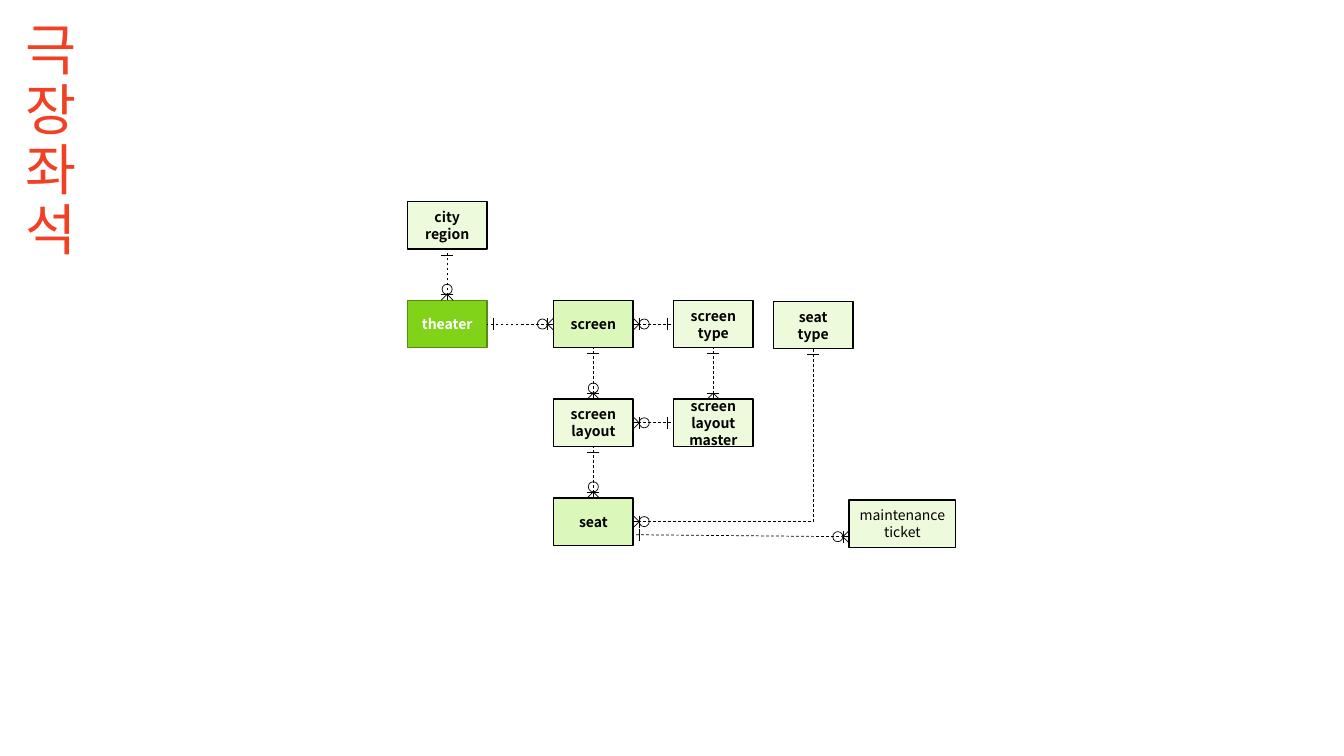
from dataclasses import dataclass
from lxml.etree import SubElement
from pptx import Presentation
from pptx.dml.color import RGBColor
from pptx.enum.dml import MSO_LINE
from pptx.enum.shapes import MSO_CONNECTOR, MSO_SHAPE
from pptx.enum.text import MSO_ANCHOR, PP_ALIGN
from pptx.oxml.ns import qn
from pptx.util import Inches, Pt


@dataclass(frozen=True)
class Theme:
    font: str = "Noto Sans CJK KR"
    title_color: str = "F14124"
    ink: str = "000000"
    white: str = "FFFFFF"
    pale: str = "EDFBDC"
    light: str = "DCF7BA"
    strong: str = "81D31A"
    strong_edge: str = "568D11"
    title_size: float = 39.6
    label_size: float = 10
    border: float = 1
    thin: float = 0.5


THEME = Theme()
TITLE = "극장좌석"
TOP, RIGHT, BOTTOM, LEFT = "top", "right", "bottom", "left"
SITES = {TOP: 0, LEFT: 1, BOTTOM: 2, RIGHT: 3}
OUTWARD = {TOP: (0, -1), LEFT: (-1, 0), BOTTOM: (0, 1), RIGHT: (1, 0)}

COLUMNS = (4.04, 5.49, 6.68, 7.67, 8.42)
FIRST_ROW, ROW_PITCH = 2.0, 0.98
WIDTH, WIDE, HEIGHT = 0.79, 1.06, 0.47
MARK, RADIUS, SHIFT = 0.06, 0.05, 0.13

ENTITIES = {
    "city": (0, 0, ("city", "region"), THEME.pale),
    "theater": (0, 1, ("theater",), THEME.strong),
    "screen": (1, 1, ("screen",), THEME.light),
    "screen type": (2, 1, ("screen", "type"), THEME.pale),
    "seat type": (3, 1.01, ("seat", "type"), THEME.pale),
    "layout": (1, 2, ("screen", "layout"), THEME.pale),
    "master": (2, 2, ("screen", "layout", "master"), THEME.pale),
    "seat": (1, 3, ("seat",), THEME.light),
    "ticket": (4, 3.02, ("maintenance", "ticket"), THEME.pale),
}
RELATIONS = (
    ("theater", TOP, "city", BOTTOM, True, 0),
    ("screen", LEFT, "theater", RIGHT, True, 0),
    ("screen", RIGHT, "screen type", LEFT, True, 0),
    ("layout", TOP, "screen", BOTTOM, True, 0),
    ("layout", RIGHT, "master", LEFT, True, 0),
    ("master", TOP, "screen type", BOTTOM, False, 0),
    ("seat", TOP, "layout", BOTTOM, True, 0),
    ("seat", RIGHT, "seat type", BOTTOM, True, 0),
    ("ticket", LEFT, "seat", RIGHT, True, SHIFT),
)


def color(value):
    return RGBColor.from_string(value)


def add_text(para, text, size, ink, bold=False):
    span = para.add_run()
    span.text = text
    span.font.name = THEME.font
    span.font.size = Pt(size)
    span.font.bold = bold
    span.font.color.rgb = color(ink)
    SubElement(span.font._element, qn("a:ea")).set("typeface", THEME.font)


def add_title(page):
    box = page.shapes.add_textbox(Inches(0.15), Inches(0.18), Inches(0.54), Inches(0.72))
    box.text_frame.word_wrap = True
    para = box.text_frame.paragraphs[0]
    para.line_spacing = 0.9
    add_text(para, TITLE, THEME.title_size, THEME.title_color)


def add_entity(page, column, row, lines, fill):
    key = fill == THEME.strong
    wide = column == len(COLUMNS) - 1
    box = page.shapes.add_shape(
        MSO_SHAPE.RECTANGLE, Inches(COLUMNS[column]), Inches(FIRST_ROW + row * ROW_PITCH),
        Inches(WIDE if wide else WIDTH), Inches(HEIGHT))
    box.shadow.inherit = False
    box.fill.solid()
    box.fill.fore_color.rgb = color(fill)
    box.line.color.rgb = color(THEME.strong_edge if key else THEME.ink)
    box.line.width = Pt(THEME.border)
    frame = box.text_frame
    frame.word_wrap = True
    frame.vertical_anchor = MSO_ANCHOR.MIDDLE
    frame.margin_left = frame.margin_right = frame.margin_top = frame.margin_bottom = 0
    for index, line in enumerate(lines):
        para = frame.add_paragraph() if index else frame.paragraphs[0]
        para.alignment = PP_ALIGN.CENTER
        add_text(para, line, THEME.label_size, THEME.white if key else THEME.ink, not wide)
    return box


def add_line(page, start, end, dashed=False):
    line = page.shapes.add_connector(
        MSO_CONNECTOR.STRAIGHT, *(Inches(value) for value in (*start, *end)))
    line.line.color.rgb = color(THEME.ink)
    line.line.width = Pt(THEME.thin)
    if dashed:
        line.line.dash_style = MSO_LINE.DASH
    SubElement(line._element.spPr, qn("a:effectLst"))
    return line


def port(box, side, shift):
    dx, dy = OUTWARD[side]
    x = box.left + box.width * (1 + dx) / 2
    y = box.top + box.height * (1 + dy) / 2
    return x / Inches(1), y / Inches(1) + shift


def offset(point, side, out, across=0):
    dx, dy = OUTWARD[side]
    return point[0] + dx * out - dy * across, point[1] + dy * out + dx * across


def add_bar(page, point, side):
    add_line(page, offset(point, side, MARK, -MARK), offset(point, side, MARK, MARK))


def add_crow_foot(page, box, point, side, optional, joined):
    for across in (-MARK, 0, MARK):
        toe = add_line(page, offset(point, side, MARK), offset(point, side, 0, across))
        if joined and not across:
            toe.end_connect(box, SITES[side])
    add_bar(page, point, side)
    if optional:
        x, y = offset(point, side, MARK + RADIUS)
        ring = page.shapes.add_shape(
            MSO_SHAPE.OVAL, Inches(x - RADIUS), Inches(y - RADIUS),
            Inches(2 * RADIUS), Inches(2 * RADIUS))
        ring.shadow.inherit = False
        ring.fill.background()
        ring.line.color.rgb = color(THEME.ink)
        ring.line.width = Pt(THEME.thin)


def add_relation(page, boxes, many, many_side, one, one_side, optional, shift):
    start = port(boxes[many], many_side, shift)
    end = port(boxes[one], one_side, shift)
    if OUTWARD[many_side][0] and OUTWARD[one_side][1]:
        corner = (end[0], start[1])
        first = add_line(page, start, corner, True)
        last = add_line(page, corner, end, True)
    else:
        first = last = add_line(page, start, end, True)
    if not shift:
        first.begin_connect(boxes[many], SITES[many_side])
        last.end_connect(boxes[one], SITES[one_side])
    add_bar(page, end, one_side)
    add_crow_foot(page, boxes[many], start, many_side, optional, not shift)


def main():
    deck = Presentation()
    deck.slide_width, deck.slide_height = Inches(13.33), Inches(7.5)
    page = deck.slides.add_slide(deck.slide_layouts[6])
    add_title(page)
    boxes = {name: add_entity(page, *entity) for name, entity in ENTITIES.items()}
    for relation in RELATIONS:
        add_relation(page, boxes, *relation)
    deck.save("out.pptx")


if __name__ == "__main__":
    main()
